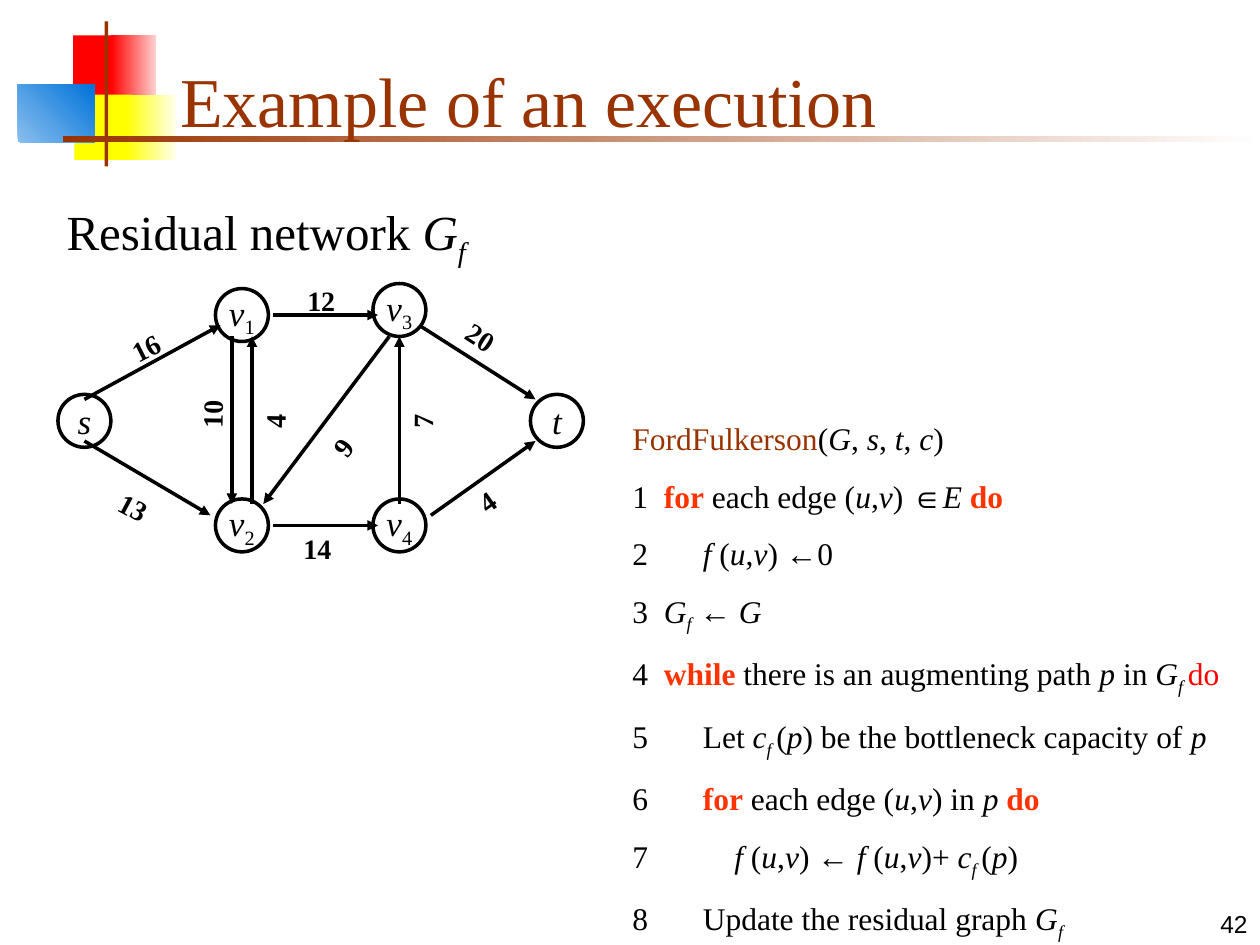
"""Build a slide showing a residual network beside Ford-Fulkerson pseudocode."""
from lxml import etree
from pptx import Presentation
from pptx.dml.color import RGBColor
from pptx.enum.shapes import MSO_CONNECTOR, MSO_SHAPE
from pptx.enum.text import MSO_ANCHOR, MSO_AUTO_SIZE, PP_ALIGN
from pptx.oxml.ns import qn
from pptx.util import Inches, Pt

RECT, OVAL = MSO_SHAPE.RECTANGLE, MSO_SHAPE.OVAL
LINE = MSO_CONNECTOR.STRAIGHT
LEFT, MID, RIGHT = PP_ALIGN.LEFT, PP_ALIGN.CENTER, PP_ALIGN.RIGHT
BASE, CORE = MSO_ANCHOR.BOTTOM, MSO_ANCHOR.MIDDLE
FIXED = MSO_AUTO_SIZE.NONE

HUES = {
    "black": "000000", "white": "FFFFFF", "brown": "993300",
    "red": "FF0000", "pink": "FFD1D1", "yellow": "FFFF00",
    "cream": "FFFFF0", "sky": "8BBFEE", "blue": "0073D9", "key": "FF3300",
}
RGB = {name: RGBColor.from_string(code) for name, code in HUES.items()}

STYLES = {
    "n": {},
    "i": {"italic": True},
    "s": {"italic": True, "sub": True},
    "d": {"sub": True},
    "k": {"bold": True, "hue": "key"},
    "r": {"hue": "red"},
    "h": {"hue": "brown"},
}


def write(para, text, size=18, face="Times New Roman", hue="black", bold=False, align=LEFT):
    """Fill a paragraph with pieces split by |, each led by a style letter."""
    para.alignment = align
    for piece in text.split("|"):
        style = STYLES[piece[0]]
        run = para.add_run()
        run.text = piece[1:]
        font = run.font
        font.size, font.name = Pt(size), face
        font.bold = style.get("bold", bold)
        font.italic = style.get("italic", False)
        font.color.rgb = RGB[style.get("hue", hue)]
        if style.get("sub"):
            run._r.get_or_add_rPr().set("baseline", "-25000")


def frame(left, top, width, height, turn=0):
    """Add a wrapping text box and return its text frame."""
    box = shapes.add_textbox(Inches(left), Inches(top), Inches(width), Inches(height))
    box.rotation = turn
    box.text_frame.word_wrap = True
    return box.text_frame


deck = Presentation()
deck.slide_width, deck.slide_height = Inches(10), Inches(7.5)
slide = deck.slides.add_slide(deck.slide_layouts[5])
shapes = slide.shapes

BLOCKS = [
    (0.58, 0.28, 0.35, 0.52, "red", "red", 0),
    (0.88, 0.28, 0.36, 0.52, "red", "pink", 0),
    (0.59, 0.75, 0.46, 0.52, "yellow", "yellow", 0),
    (1, 0.75, 0.4, 0.52, "yellow", "cream", 0),
    (0.14, 0.67, 0.61, 0.46, "sky", "blue", 45),
    (0.83, 0.17, 0.03, 1.15, "brown", "brown", 0),
    (0.5, 1.08, 9.5, 0.05, "brown", "white", 0),
]
for *at, start, end, angle in BLOCKS:
    block = shapes.add_shape(RECT, *map(Inches, at))
    block.shadow.inherit = False
    block.line.fill.background()
    if start == end:
        block.fill.solid()
        block.fill.fore_color.rgb = RGB[start]
        continue
    block.fill.gradient()
    block.fill.gradient_angle = angle
    for stop, hue, spot in zip(block.fill.gradient_stops, (start, end), (0, 1)):
        stop.color.rgb, stop.position = RGB[hue], spot

page = frame(7.92, 7, 2.08, 0.5)
page.vertical_anchor = BASE
write(page.paragraphs[0], "n42", size=14, face="Arial", align=RIGHT)

NODES = [
    ("is", 0.46, 3.13), ("it", 4.21, 3.13),
    ("iv|d1", 1.71, 2.29), ("iv|d2", 1.71, 3.96),
    ("iv|d3", 2.96, 2.25), ("iv|d4", 2.96, 3.96),
]
for name, left, top in NODES:
    node = shapes.add_shape(OVAL, Inches(left), Inches(top), Inches(0.42), Inches(0.42))
    node.shadow.inherit = False
    node.fill.solid()
    node.fill.fore_color.rgb = RGB["white"]
    node.line.color.rgb, node.line.width = RGB["black"], Pt(2)
    node.text_frame.word_wrap = False
    node.text_frame.vertical_anchor = CORE
    write(node.text_frame.paragraphs[0], name, size=20, align=MID)

EDGES = [
    ((2.17, 2.5, 3, 2.5), "12", (2.34, 2.2), 0),
    ((2.17, 4.17, 3, 4.17), "14", (2.31, 4.17), 0),
    ((0.67, 3.17, 1.75, 2.58), "16", (0.93, 2.5), 333.1),
    ((0.67, 3.5, 1.67, 4.09), "13", (0.83, 3.92), 27.9),
    ((1.84, 2.67, 1.84, 4), "10", (1.31, 2.94), 270.9),
    ((2, 4, 2, 2.67), "4", (1.81, 2.94), 270.9),
    ((3.17, 4, 3.17, 2.67), "7", (2.98, 2.94), 270.9),
    ((3.09, 2.67, 2.09, 4), "9", (2.48, 3.19), 307.4),
    ((3.34, 2.59, 4.25, 3.17), "20", (3.58, 2.58), 32.5),
    ((3.42, 4.09, 4.25, 3.5), "4", (3.67, 3.67), 324.6),
]
for ends, load, spot, turn in EDGES:
    edge = shapes.add_connector(LINE, *map(Inches, ends))
    edge.line.color.rgb, edge.line.width = RGB["black"], Pt(2)
    etree.SubElement(edge.line._get_or_add_ln(), qn("a:tailEnd"), type="triangle")
    etree.SubElement(edge._element.spPr, qn("a:effectLst"))
    label = frame(*spot, 0.75, 0.37, turn)
    write(label.paragraphs[0], "n" + load, size=16, bold=True)

head = frame(0.43, 1.55, 3.39, 0.63)
write(head.paragraphs[0], "nResidual network |iG|sf", size=28)

title = shapes.title
title.left, title.top = Inches(1.33), Inches(0.25)
title.width, title.height = Inches(8.52), Inches(0.92)
title.text_frame.auto_size = FIXED
title.text_frame.vertical_anchor = BASE
write(title.text_frame.paragraphs[0], "nExample of an execution", size=40, hue="brown")
shapes.element.append(title.element)

STEPS = [
    (0, "hFordFulkerson|n(|iG|n, |is|n, |it|n, |ic|n)"),
    (0.25, "n1\t|kfor|n each edge (|iu|n,|iv|n) ∈|iE |kdo"),
    (0.56, "n2\t|if |n(|iu|n,|iv|n) ←0"),
    (0.25, "n3\t|iG|sf|n ← |iG"),
    (0.25, "n4\t|kwhile|n there is an augmenting path |ip|n in |iG|sf |rdo"),
    (0.56, "n5\tLet |ic|sf |n(|ip|n) be the bottleneck capacity of |ip"),
    (0.56, "n6\t|kfor|n each edge (|iu|n,|iv|n) in |ip |kdo"),
    (0.81, "n7\t|if |n(|iu|n,|iv|n) ← |if |n(|iu|n,|iv|n)+ |ic|sf |n(|ip|n)"),
    (0.56, "n8\tUpdate the residual graph |iG|sf"),
]
code = frame(4.92, 3.28, 4.92, 4.26)
for row, (stop, text) in enumerate(STEPS):
    para = code.add_paragraph() if row else code.paragraphs[0]
    if row:
        para.space_before = Pt(11.2)
        tabs = etree.SubElement(para._p.get_or_add_pPr(), qn("a:tabLst"))
        etree.SubElement(tabs, qn("a:tab"), pos=str(Inches(stop)), algn="l")
    write(para, text)

deck.save("out.pptx")
